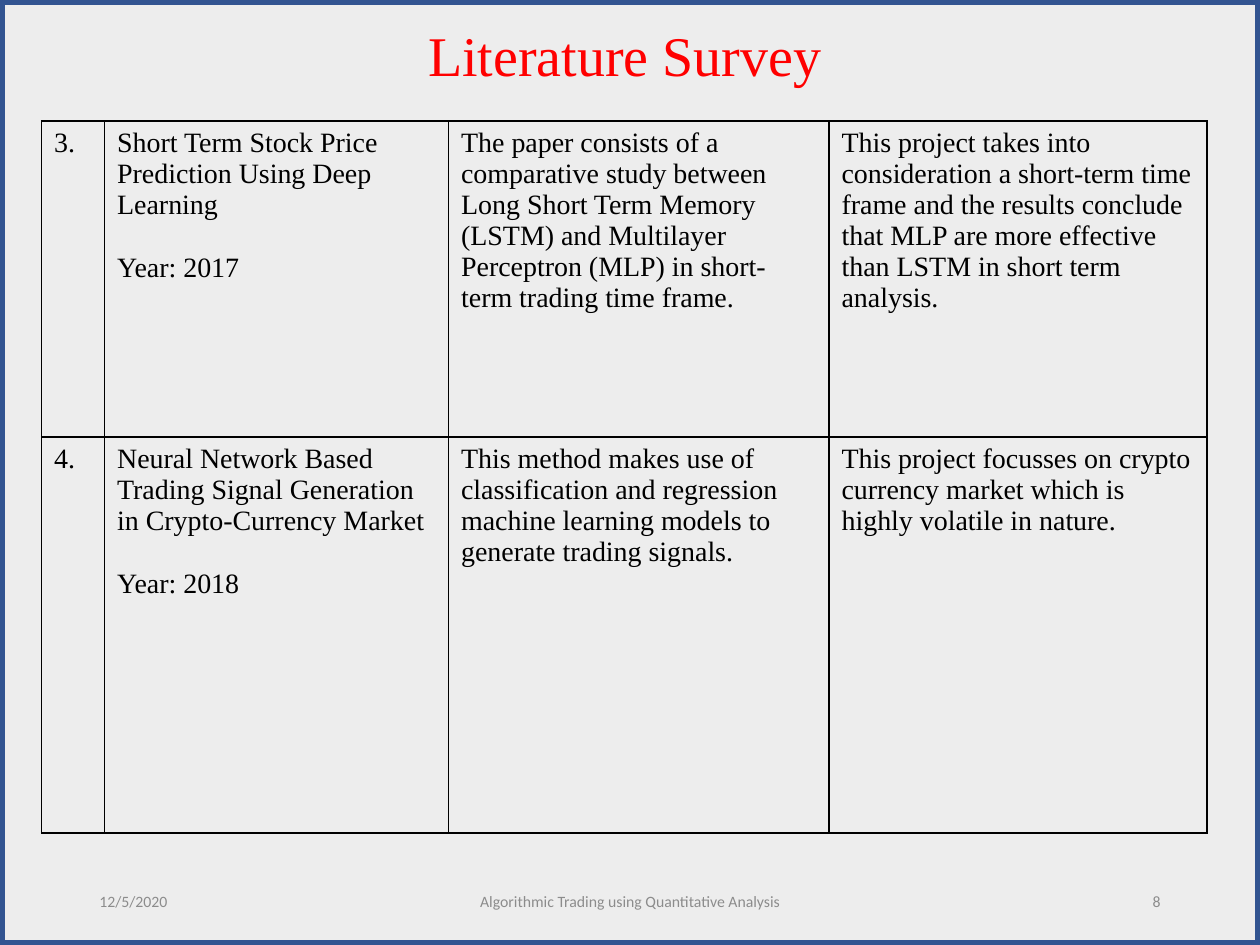
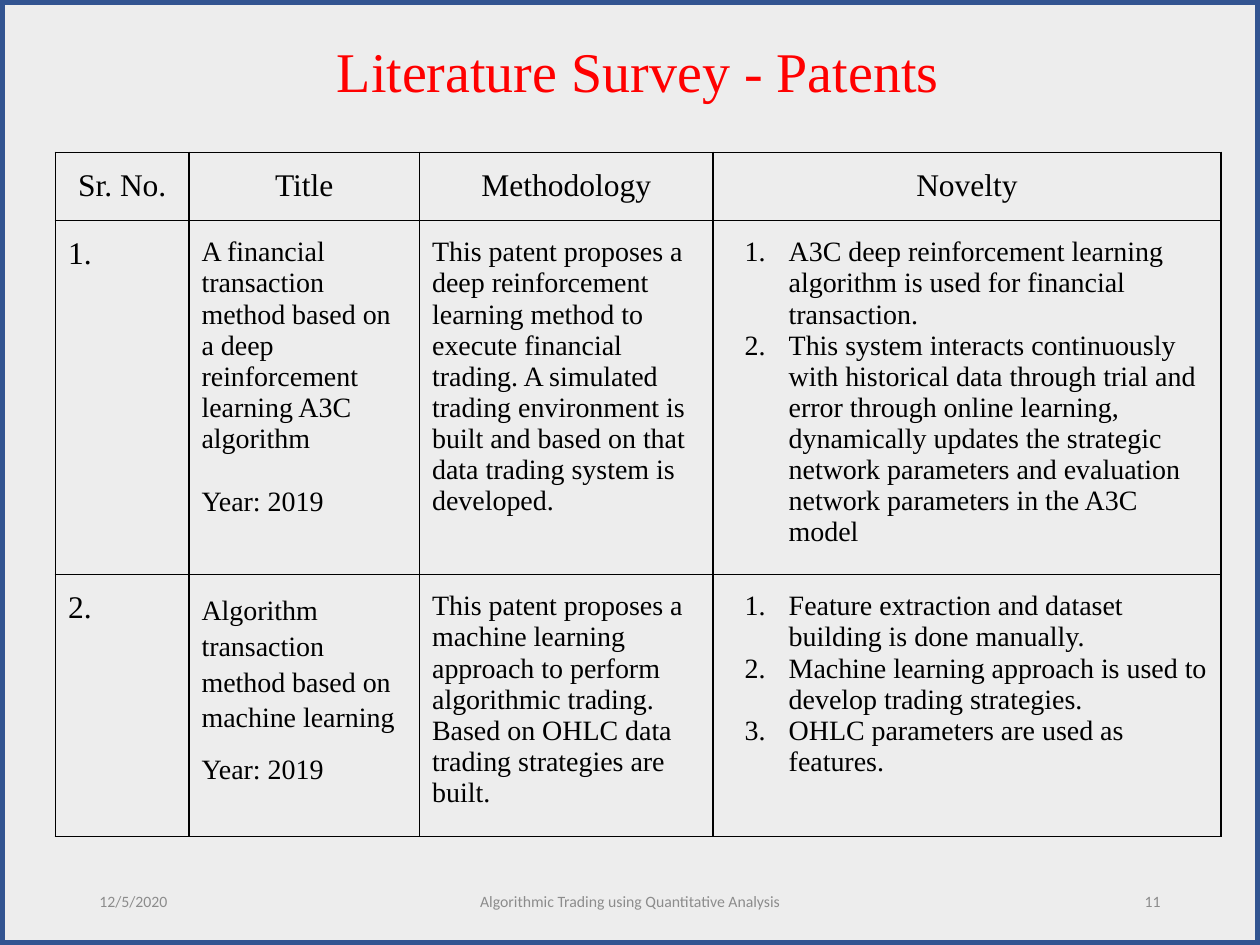
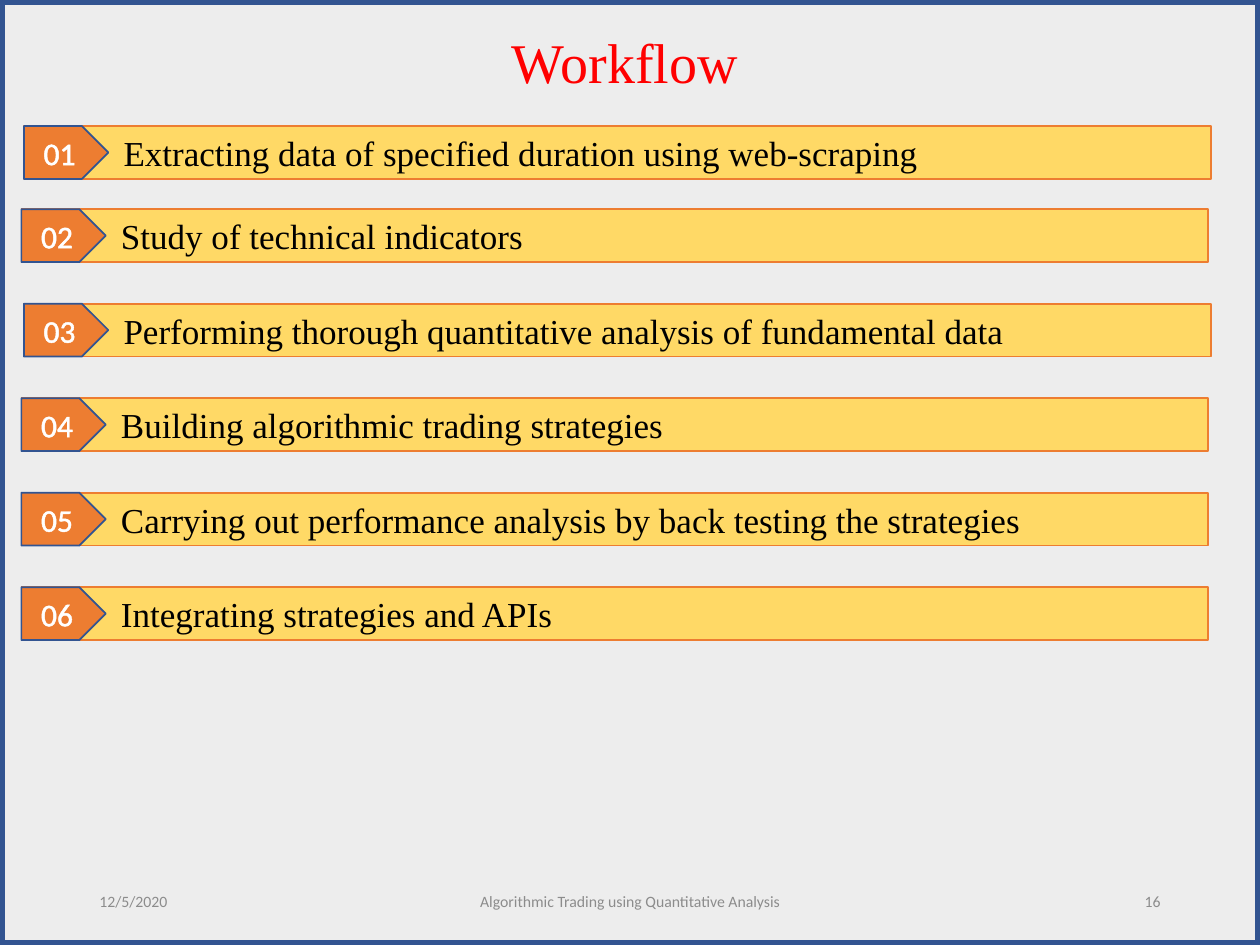
from lxml import etree
from pptx import Presentation
from pptx.dml.color import RGBColor
from pptx.enum.shapes import MSO_SHAPE
from pptx.enum.text import MSO_ANCHOR, MSO_AUTO_SIZE, PP_ALIGN
from pptx.oxml.ns import qn
from pptx.util import Inches, Pt

LEFT, CENTER, RIGHT = PP_ALIGN.LEFT, PP_ALIGN.CENTER, PP_ALIGN.RIGHT
TOP, MIDDLE = MSO_ANCHOR.TOP, MSO_ANCHOR.MIDDLE
RECTANGLE, PENTAGON = MSO_SHAPE.RECTANGLE, MSO_SHAPE.PENTAGON

COLORS = {
    "background": "EDEDED",
    "frame": "325491",
    "title": "FF0000",
    "text": "000000",
    "footer": "8C8C8C",
    "bar": "FFD966",
    "accent": "ED7D31",
    "number": "FFFFFF",
}
SERIF, SANS = "Times New Roman", "Calibri"

# The slide is divided into 100 columns and 75 rows.
SLIDE_WIDTH, SLIDE_HEIGHT = Inches(10), Inches(7.5)
COLUMN, ROW = SLIDE_WIDTH / 100, SLIDE_HEIGHT / 75

DATE = "12/5/2020"
PROJECT = "Algorithmic Trading using Quantitative Analysis"
FOOTER_TOP, FOOTER_HEIGHT = 69.5, 4

PAPER_COLUMNS = (5, 27.3, 30.2, 30)
PAPER_ROWS = (25.1, 31.4)
PATENT_COLUMNS = (10.6, 18.3, 23.3, 40.3)
PATENT_ROWS = (5.4, 28.1, 20.8)

HEADING = {"size": 18, "align": CENTER}
NUMBER = {"size": 18}
NUMBERED = {"numbered": True}
YEAR = {"before": 18}

PAPERS = [
    [
        [("3.", {})],
        [("Short Term Stock Price Prediction Using Deep Learning", {}),
         ("Year: 2017", YEAR)],
        [("The paper consists of a comparative study between Long Short Term Memory "
          "(LSTM) and Multilayer Perceptron (MLP) in short-term trading time frame.", {})],
        [("This project takes into consideration a short-term time frame and the "
          "results conclude that MLP are more effective than LSTM in short term "
          "analysis.", {})],
    ],
    [
        [("4.", {})],
        [("Neural Network Based Trading Signal Generation in Crypto-Currency Market", {}),
         ("Year: 2018", YEAR)],
        [("This method makes use of classification and regression machine learning "
          "models to generate trading signals.", {})],
        [("This project focusses on crypto currency market which is highly volatile "
          "in nature.", {})],
    ],
]

PATENTS = [
    [[(heading, HEADING)] for heading in ("Sr. No.", "Title", "Methodology", "Novelty")],
    [
        [("1.", NUMBER)],
        [("A financial transaction method based on a deep reinforcement learning A3C "
          "algorithm", {}),
         ("Year: 2019", YEAR)],
        [("This patent proposes a deep reinforcement learning method to execute "
          "financial trading. A simulated trading environment is built and based on "
          "that data trading system is developed.", {})],
        [("A3C deep reinforcement learning algorithm is used for financial "
          "transaction.", NUMBERED),
         ("This system interacts continuously with historical data through trial and "
          "error through online learning, dynamically updates the strategic network "
          "parameters and evaluation network parameters in the A3C model", NUMBERED)],
    ],
    [
        [("2.", NUMBER)],
        [("Algorithm transaction method based on machine learning", {"spacing": 1.15}),
         ("Year: 2019", {"before": 12})],
        [("This patent proposes a machine learning approach to perform algorithmic "
          "trading. Based on OHLC data trading strategies are built.", {})],
        [("Feature extraction and dataset building is done manually.", NUMBERED),
         ("Machine learning approach is used to develop trading strategies.", NUMBERED),
         ("OHLC parameters are used as features.", NUMBERED)],
    ],
]

STEPS = [
    "Extracting data of specified duration using web-scraping",
    "Study of technical indicators",
    "Performing thorough quantitative analysis of fundamental data",
    "Building algorithmic trading strategies",
    "Carrying out performance analysis by back testing the strategies",
    "Integrating strategies and APIs",
]
STEP_LEFTS = (1.9, 1.7, 1.9, 1.7, 1.7, 1.7)
FIRST_STEP_TOP, SECOND_STEP_TOP, STEP_PITCH = 10, 16.6, 7.5
BAR_WIDTH, MARKER_WIDTH, STEP_HEIGHT, STEP_INDENT = 94.2, 6.7, 4.2, 7.9


def color(name):
    return RGBColor.from_string(COLORS[name])


def on_grid(left, top, width, height):
    """Turn a box in columns and rows into slide lengths."""
    return (round(left * COLUMN), round(top * ROW),
            round(width * COLUMN), round(height * ROW))


def add_line_fill(parent, tag, index, width, name):
    """Insert a solid line element, used for cell borders and letter outlines."""
    line = etree.Element(qn(tag), w=str(Pt(width)))
    fill = etree.SubElement(line, qn("a:solidFill"))
    etree.SubElement(fill, qn("a:srgbClr"), val=COLORS[name])
    parent.insert(index, line)


def write(paragraph, text, size=16, font=SERIF, fill="text", align=LEFT,
          before=0, spacing=1, numbered=False, outline=0):
    paragraph.alignment = align
    paragraph.space_before = Pt(before)
    paragraph.line_spacing = spacing
    if numbered:
        properties = paragraph._p.get_or_add_pPr()
        properties.set("marL", str(Inches(0.5)))
        properties.set("indent", str(Inches(-0.35)))
        etree.SubElement(properties, qn("a:buAutoNum"), type="arabicPeriod")
    run = paragraph.add_run()
    run.text = text
    run.font.size = Pt(size)
    run.font.name = font
    run.font.color.rgb = color(fill)
    if outline:
        add_line_fill(run.font._element, "a:ln", 0, outline, fill)


def add_shape(slide, kind, box, fill, line, line_width=1):
    shape = slide.shapes.add_shape(kind, *on_grid(*box))
    shape.shadow.inherit = False
    if fill:
        shape.fill.solid()
        shape.fill.fore_color.rgb = color(fill)
    else:
        shape.fill.background()
    shape.line.color.rgb = color(line)
    shape.line.width = Pt(line_width)
    shape.text_frame.vertical_anchor = MIDDLE
    return shape


def add_title(slide, text, box):
    title = slide.shapes.title
    title.left, title.top, title.width, title.height = on_grid(*box)
    frame = title.text_frame
    frame.word_wrap = True
    frame.auto_size = MSO_AUTO_SIZE.NONE
    frame.vertical_anchor = TOP
    write(frame.paragraphs[0], text, size=32, fill="title", align=CENTER)
    return frame


def add_footer(slide, number):
    parts = ((6.9, 22.5, DATE, LEFT), (33.1, 33.8, PROJECT, CENTER),
             (70.6, 22.5, str(number), RIGHT))
    for left, width, text, align in parts:
        box = on_grid(left, FOOTER_TOP, width, FOOTER_HEIGHT)
        frame = slide.shapes.add_textbox(*box).text_frame
        frame.word_wrap = True
        frame.vertical_anchor = MIDDLE
        write(frame.paragraphs[0], text, size=9, font=SANS, fill="footer", align=align)


def add_frame(slide):
    add_shape(slide, RECTANGLE, (0, 0, 100, 75), None, "frame", 6)


def format_cell(cell, paragraphs, margin):
    cell.margin_left = cell.margin_right = Inches(0.1)
    cell.margin_top = cell.margin_bottom = Inches(margin)
    cell.vertical_anchor = TOP
    cell.fill.background()
    properties = cell._tc.get_or_add_tcPr()
    for index, tag in enumerate(("a:lnL", "a:lnR", "a:lnT", "a:lnB")):
        add_line_fill(properties, tag, index, 1, "text")
    frame = cell.text_frame
    for index, (text, style) in enumerate(paragraphs):
        paragraph = frame.add_paragraph() if index else frame.paragraphs[0]
        write(paragraph, text, **style)


def add_survey_table(slide, left, top, columns, rows, contents, margin):
    box = on_grid(left, top, sum(columns), sum(rows))
    table = slide.shapes.add_table(len(rows), len(columns), *box).table
    table.first_row = table.horz_banding = False
    for column, width in zip(table.columns, columns):
        column.width = round(width * COLUMN)
    for row, height, cells in zip(table.rows, rows, contents):
        row.height = round(height * ROW)
        for cell, paragraphs in zip(row.cells, cells):
            format_cell(cell, paragraphs, margin)


def add_step(slide, left, top, number, text):
    bar = add_shape(slide, RECTANGLE, (left, top, BAR_WIDTH, STEP_HEIGHT), "bar", "accent")
    bar.text_frame.margin_left = round(STEP_INDENT * COLUMN)
    write(bar.text_frame.paragraphs[0], text, size=20)
    marker = add_shape(slide, PENTAGON, (left, top, MARKER_WIDTH, STEP_HEIGHT),
                       "accent", "frame")
    write(marker.text_frame.paragraphs[0], f"{number:02}", size=18, font=SANS,
          fill="number", align=CENTER, outline=1.45)


def build_papers(slide):
    add_title(slide, "Literature Survey", (1.7, 1.1, 95.8, 6.4))
    add_survey_table(slide, 3.3, 9.6, PAPER_COLUMNS, PAPER_ROWS, PAPERS, 0.05)


def build_patents(slide):
    frame = add_title(slide, "Literature Survey - Patents", (16.5, 1.9, 68.3, 8.3))
    frame.margin_top = frame.margin_bottom = Inches(0.1)
    add_survey_table(slide, 4.4, 12.1, PATENT_COLUMNS, PATENT_ROWS, PATENTS, 0.13)


def build_workflow(slide):
    add_title(slide, "Workflow", (1.7, 1.7, 95.8, 6.4))
    tops = [FIRST_STEP_TOP] + [SECOND_STEP_TOP + STEP_PITCH * index
                               for index in range(len(STEPS) - 1)]
    for number, (left, top, text) in enumerate(zip(STEP_LEFTS, tops, STEPS), 1):
        add_step(slide, left, top, number, text)


def main():
    presentation = Presentation()
    presentation.slide_width, presentation.slide_height = SLIDE_WIDTH, SLIDE_HEIGHT
    background = presentation.slide_master.background.fill
    background.solid()
    background.fore_color.rgb = color("background")
    title_only = presentation.slide_layouts[5]
    for build, number in ((build_papers, 8), (build_patents, 11), (build_workflow, 16)):
        slide = presentation.slides.add_slide(title_only)
        build(slide)
        add_footer(slide, number)
        add_frame(slide)
    presentation.save("out.pptx")


if __name__ == "__main__":
    main()
